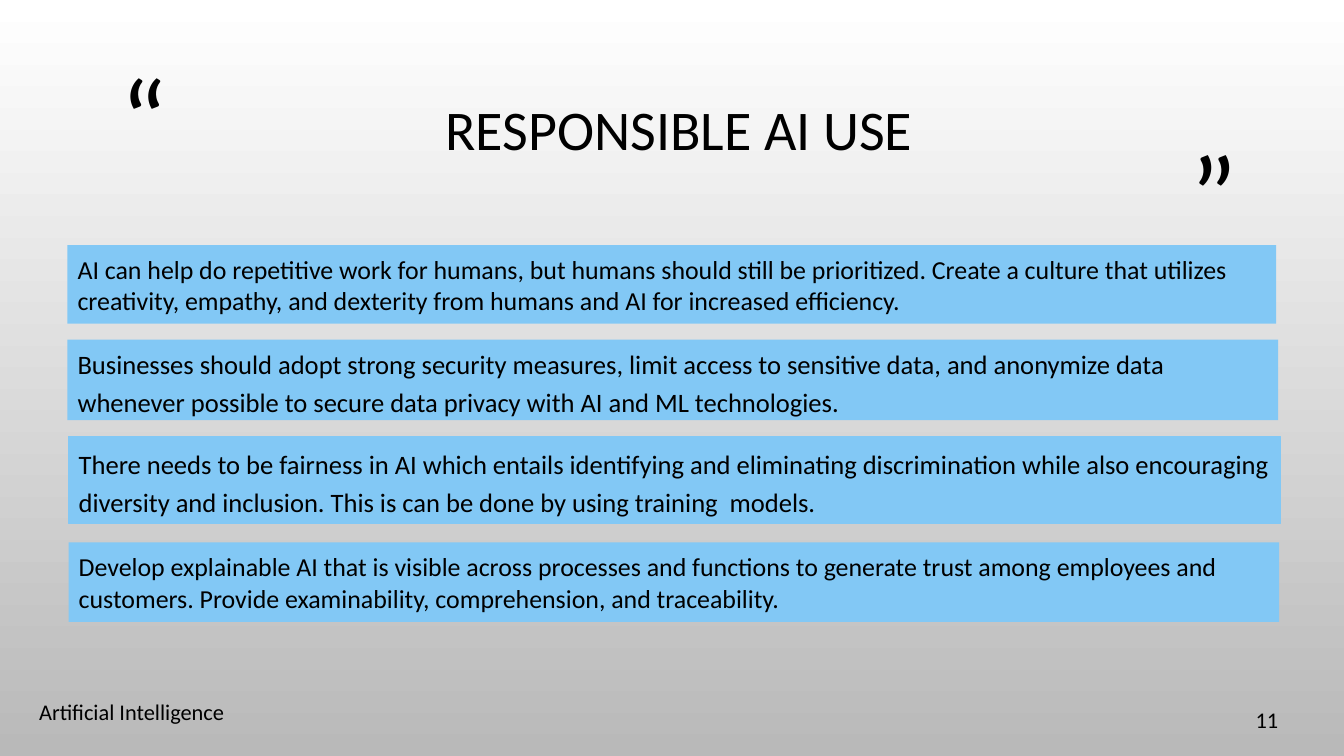
from dataclasses import dataclass

import lxml.etree
import pptx
import pptx.dml.color
import pptx.enum.text
import pptx.oxml.ns
import pptx.util

Pt = pptx.util.Pt
RGB = pptx.dml.color.RGBColor
Align = pptx.enum.text.PP_ALIGN


@dataclass(frozen=True)
class Theme:
    font: str = "Calibri"
    ink: RGB = RGB(0, 0, 0)
    panel: RGB = RGB(0x82, 0xC8, 0xF5)
    sky: RGB = RGB(0xFF, 0xFF, 0xFF)
    ground: RGB = RGB(0xB9, 0xB9, 0xB9)
    quote_size: float = 80
    title_size: float = 40
    loose_size: float = 19
    tight_size: float = 18.5
    footer_size: float = 16


@dataclass(frozen=True)
class Box:
    left: float
    top: float
    width: float
    height: float


@dataclass(frozen=True)
class Label:
    text: str
    box: Box
    size: float
    align: Align = Align.LEFT


@dataclass(frozen=True)
class Principle:
    text: str
    box: Box
    size: float
    spacing: float = 1.0
    outlined: bool = False


THEME = Theme()

TITLE = Label("RESPONSIBLE AI USE", Box(118.8, 49, 732.2, 90.7), THEME.title_size, Align.CENTER)

LABELS = [
    Label("“", Box(79.2, 59, 48.2, 46.1), THEME.quote_size),
    Label("”", Box(843.1, 112.3, 48.2, 46.1), THEME.quote_size, Align.RIGHT),
    Label("Artificial Intelligence", Box(20.9, 493.9, 525.6, 28.8), THEME.footer_size),
    Label("11", Box(859.7, 499.7, 60.5, 28.8), THEME.footer_size, Align.RIGHT),
]

PRINCIPLES = [
    Principle(
        "AI can help do repetitive work for humans, but humans should still be prioritized. "
        "Create a culture that utilizes creativity, empathy, and dexterity from humans and AI "
        "for increased efficiency.",
        Box(48.2, 175, 863.3, 56.2), THEME.tight_size),
    Principle(
        "Businesses should adopt strong security measures, limit access to sensitive data, and "
        "anonymize data whenever possible to secure data privacy with AI and ML technologies.",
        Box(48.2, 242.6, 864.7, 57.6), THEME.loose_size, 1.2),
    Principle(
        "There needs to be fairness in AI which entails identifying and eliminating "
        "discrimination while also encouraging diversity and inclusion. This is can be done by "
        "using training  models.",
        Box(49, 311.8, 865.4, 61.9), THEME.loose_size, 1.2, outlined=True),
    Principle(
        "Develop explainable AI that is visible across processes and functions to generate trust "
        "among employees and customers. Provide examinability, comprehension, and traceability.",
        Box(49, 387.4, 864.7, 56.9), THEME.tight_size),
]


def place(shape, box: Box) -> None:
    shape.left, shape.top = Pt(box.left), Pt(box.top)
    shape.width, shape.height = Pt(box.width), Pt(box.height)


def write(shape, text: str, size: float, align: Align, spacing: float = 1.0, before: float = 0):
    frame = shape.text_frame
    frame.text = text
    frame.word_wrap = True
    frame.auto_size = pptx.enum.text.MSO_AUTO_SIZE.NONE
    frame.vertical_anchor = pptx.enum.text.MSO_ANCHOR.MIDDLE
    paragraph = frame.paragraphs[0]
    paragraph.alignment = align
    paragraph.line_spacing = spacing
    paragraph.space_before = Pt(before)
    for run in paragraph.runs:
        run.font.name = THEME.font
        run.font.size = Pt(size)
        run.font.bold = False
        run.font.color.rgb = THEME.ink
    return paragraph


def draw_label(slide, label: Label) -> None:
    box = label.box
    shape = slide.shapes.add_textbox(Pt(box.left), Pt(box.top), Pt(box.width), Pt(box.height))
    write(shape, label.text, label.size, label.align)


def draw_title(slide, title: Label) -> None:
    place(slide.shapes.title, title.box)
    write(slide.shapes.title, title.text, title.size, title.align, spacing=0.9)


def draw_principle(panel, principle: Principle) -> None:
    place(panel, principle.box)
    panel.fill.solid()
    panel.fill.fore_color.rgb = THEME.panel
    if principle.outlined:
        panel.line.color.rgb = THEME.panel
        panel.line.width = Pt(0.75)
    paragraph = write(panel, principle.text, principle.size, Align.LEFT, principle.spacing, 10)
    properties = paragraph._p.get_or_add_pPr()
    properties.set("marL", "0")
    properties.set("indent", "0")
    lxml.etree.SubElement(properties, pptx.oxml.ns.qn("a:buNone"))


def paint_background(slide) -> None:
    fill = slide.background.fill
    fill.gradient()
    fill.gradient_angle = 270
    for stop, position, color in zip(fill.gradient_stops, (0, 1), (THEME.sky, THEME.ground)):
        stop.position = position
        stop.color.rgb = color


def main() -> None:
    deck = pptx.Presentation()
    deck.slide_width, deck.slide_height = Pt(960), Pt(540)
    slide = deck.slides.add_slide(deck.slide_layouts.get_by_name("Comparison"))
    paint_background(slide)
    draw_title(slide, TITLE)
    panels = list(slide.placeholders)[1:]
    for panel, principle in zip(panels, PRINCIPLES):
        draw_principle(panel, principle)
    for label in LABELS:
        draw_label(slide, label)
    deck.save("out.pptx")


if __name__ == "__main__":
    main()
